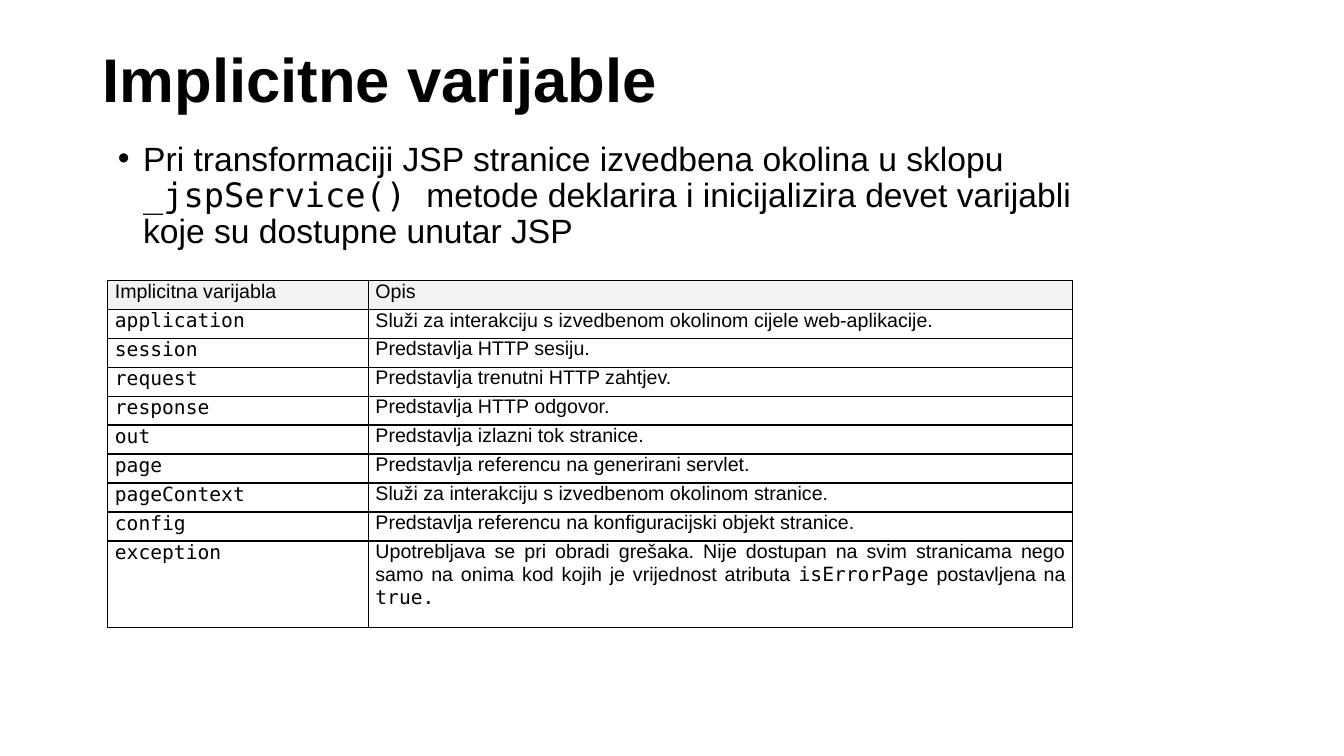
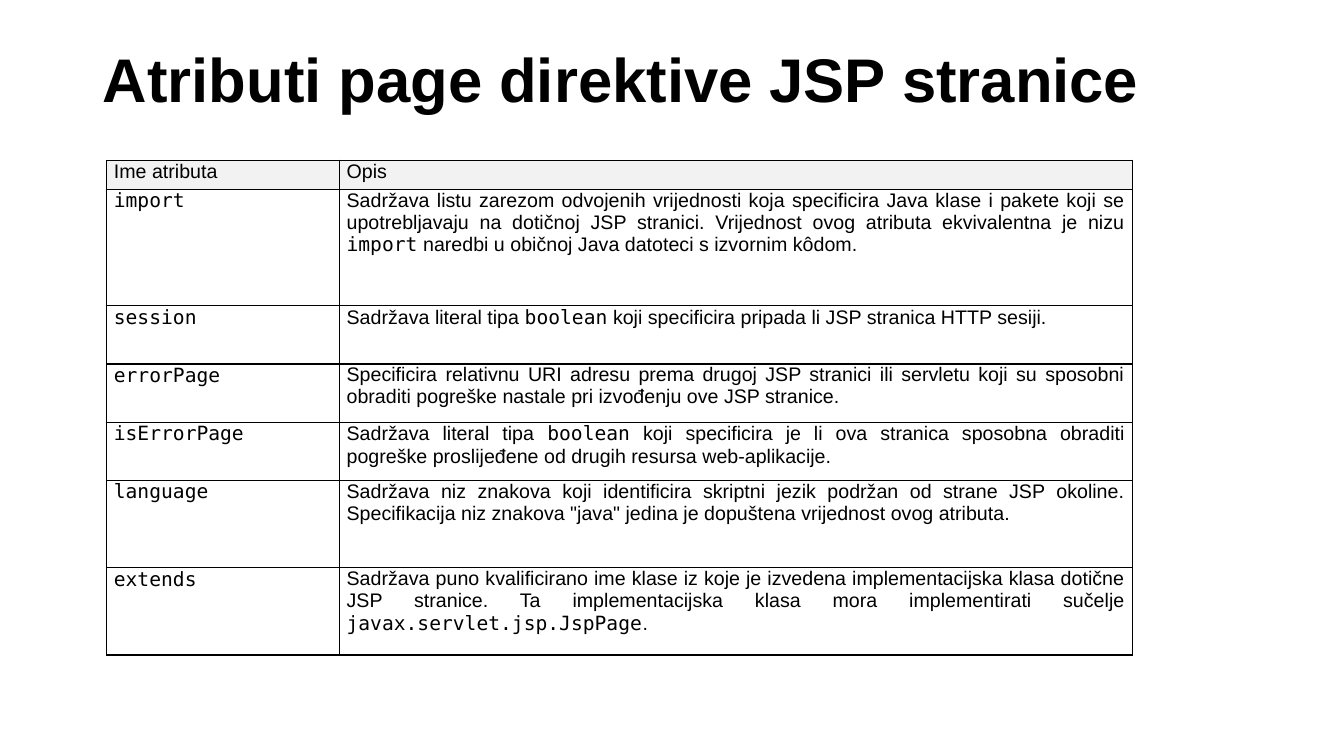
from lxml.etree import SubElement
from pptx import Presentation
from pptx.dml.color import RGBColor
from pptx.enum.text import MSO_ANCHOR, MSO_AUTO_SIZE, PP_ALIGN
from pptx.oxml.ns import qn
from pptx.util import Emu, Inches, Pt

COLORS = {"text": "000000", "border": "000000", "header": "F2F2F2"}
FONTS = ("Arial", "DejaVu Sans Mono")
CODE_MARK = "`"
TITLE_ONLY, TITLE_AND_BODY = 5, 1
TITLE_BOX = (0.92, 0.4, 11.5, 0.83)
BODY_BOX = (1.07, 1.36, 10.34, 1.51)
TITLE_FORMAT = {"alignment": PP_ALIGN.LEFT, "line_spacing": 0.9}
BODY_FORMAT = {"alignment": PP_ALIGN.LEFT, "line_spacing": 0.9, "space_before": Pt(10)}
CELL_FORMAT = {
    "margin_left": Inches(0.07),
    "margin_right": Inches(0.07),
    "margin_top": 0,
    "margin_bottom": 0,
    "vertical_anchor": MSO_ANCHOR.TOP,
}

SLIDES = [
    {
        "title": "Implicitne varijable",
        "body": "Pri transformaciji JSP stranice izvedbena okolina u sklopu `_jspService() `"
                "metode deklarira i inicijalizira devet varijabli koje su dostupne unutar JSP",
        "table_box": (1.07, 2.78, 9.57, 3.45),
        "name_share": 0.27,
        "header": ("Implicitna varijabla", "Opis"),
        "rows": [
            ("application", 1, "Služi za interakciju s izvedbenom okolinom cijele web-aplikacije."),
            ("session", 1, "Predstavlja HTTP sesiju."),
            ("request", 1, "Predstavlja trenutni HTTP zahtjev."),
            ("response", 1, "Predstavlja HTTP odgovor."),
            ("out", 1, "Predstavlja izlazni tok stranice."),
            ("page", 1, "Predstavlja referencu na generirani servlet."),
            ("pageContext", 1, "Služi za interakciju s izvedbenom okolinom stranice."),
            ("config", 1, "Predstavlja referencu na konfiguracijski objekt stranice."),
            ("exception", 3, "Upotrebljava se pri obradi grešaka. Nije dostupan na svim stranicama "
                             "nego samo na onima kod kojih je vrijednost atributa `isErrorPage` "
                             "postavljena na `true.`"),
        ],
    },
    {
        "title": "Atributi page direktive JSP stranice",
        "table_box": (1.06, 1.59, 10.17, 4.91),
        "name_share": 0.227,
        "header": ("Ime atributa", "Opis"),
        "rows": [
            ("import", 4, "Sadržava listu zarezom odvojenih vrijednosti koja specificira Java klase i "
                          "pakete koji se upotrebljavaju na dotičnoj JSP stranici. Vrijednost ovog "
                          "atributa ekvivalentna je nizu `import` naredbi u običnoj Java datoteci s "
                          "izvornim kôdom."),
            ("session", 2, "Sadržava literal tipa `boolean` koji specificira pripada li JSP stranica "
                           "HTTP sesiji."),
            ("errorPage", 2, "Specificira relativnu URI adresu prema drugoj JSP stranici ili servletu "
                             "koji su sposobni obraditi pogreške nastale pri izvođenju ove JSP stranice."),
            ("isErrorPage", 2, "Sadržava literal tipa `boolean` koji specificira je li ova stranica "
                               "sposobna obraditi pogreške proslijeđene od drugih resursa web-aplikacije."),
            ("language", 3, "Sadržava niz znakova koji identificira skriptni jezik podržan od strane "
                            "JSP okoline. Specifikacija niz znakova \"java\" jedina je dopuštena "
                            "vrijednost ovog atributa."),
            ("extends", 3, "Sadržava puno kvalificirano ime klase iz koje je izvedena implementacijska "
                           "klasa dotične JSP stranice. Ta implementacijska klasa mora implementirati "
                           "sučelje `javax.servlet.jsp.JspPage`."),
        ],
    },
]


def color(name):
    return RGBColor.from_string(COLORS[name])


def apply_format(target, values):
    for name, value in values.items():
        setattr(target, name, value)


def write(text_frame, text, size, paragraph_format, bold=False):
    paragraph = text_frame.paragraphs[0]
    apply_format(paragraph, paragraph_format)
    for index, part in enumerate(text.split(CODE_MARK)):
        if part:
            run = paragraph.add_run()
            run.text = part
            apply_format(run.font, {"name": FONTS[index % 2], "size": Pt(size), "bold": bold})
            run.font.color.rgb = color("text")
    return paragraph


def fill_placeholder(shape, box, anchor, *text_settings):
    apply_format(shape, dict(zip(("left", "top", "width", "height"), map(Inches, box))))
    apply_format(shape.text_frame, {
        "word_wrap": True, "auto_size": MSO_AUTO_SIZE.NONE, "vertical_anchor": anchor})
    return write(shape.text_frame, *text_settings)


def add_borders(cell):
    properties = cell._tc.get_or_add_tcPr()
    for index, side in enumerate(("lnL", "lnR", "lnT", "lnB")):
        line = properties.makeelement(qn(f"a:{side}"), {"w": str(Pt(1))})
        fill = SubElement(line, qn("a:solidFill"))
        SubElement(fill, qn("a:srgbClr"), val=COLORS["border"])
        properties.insert(index, line)


def add_description_table(slide, content):
    rows = [(content["header"][0], 1, content["header"][1])]
    rows += [(f"`{name}`", units, text) for name, units, text in content["rows"]]
    box = [Inches(length) for length in content["table_box"]]
    table = slide.shapes.add_table(len(rows), 2, *box).table
    apply_format(table, {"first_row": False, "horz_banding": False})
    share = content["name_share"]
    for column, part in zip(table.columns, (share, 1 - share)):
        column.width = Emu(int(box[2] * part))
    row_unit = box[3] / sum(units for _, units, _ in rows)
    for row_index, (name, units, text) in enumerate(rows):
        table.rows[row_index].height = Emu(int(row_unit * units))
        alignment = PP_ALIGN.JUSTIFY if row_index else PP_ALIGN.LEFT
        for column_index, value in enumerate((name, text)):
            cell = table.cell(row_index, column_index)
            apply_format(cell, CELL_FORMAT)
            if row_index:
                cell.fill.background()
            else:
                cell.fill.solid()
                cell.fill.fore_color.rgb = color("header")
            add_borders(cell)
            write(cell.text_frame, value, 14, {"alignment": alignment})


def add_content_slide(presentation, content):
    layout = TITLE_AND_BODY if "body" in content else TITLE_ONLY
    slide = presentation.slides.add_slide(presentation.slide_layouts[layout])
    fill_placeholder(slide.shapes.title, TITLE_BOX, MSO_ANCHOR.MIDDLE,
                     content["title"], 44, TITLE_FORMAT, True)
    if "body" in content:
        paragraph = fill_placeholder(slide.placeholders[1], BODY_BOX, MSO_ANCHOR.TOP,
                                     content["body"], 24, BODY_FORMAT)
        properties = paragraph._p.get_or_add_pPr()
        properties.set("marL", str(Inches(0.25)))
        properties.set("indent", str(-Inches(0.25)))
    add_description_table(slide, content)


def main():
    presentation = Presentation()
    apply_format(presentation, {"slide_width": Inches(13.33), "slide_height": Inches(7.5)})
    for content in SLIDES:
        add_content_slide(presentation, content)
    presentation.save("out.pptx")


if __name__ == "__main__":
    main()
